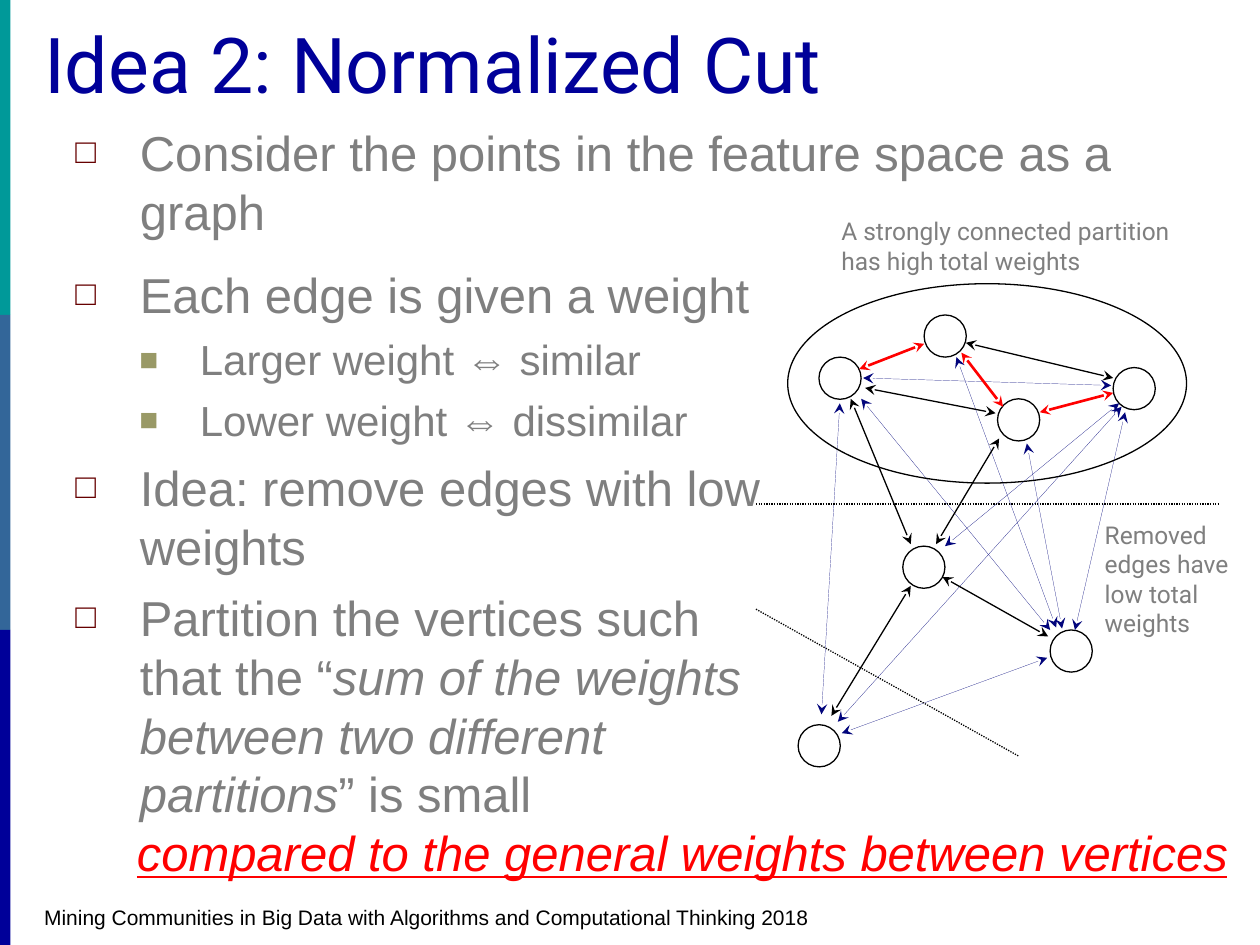
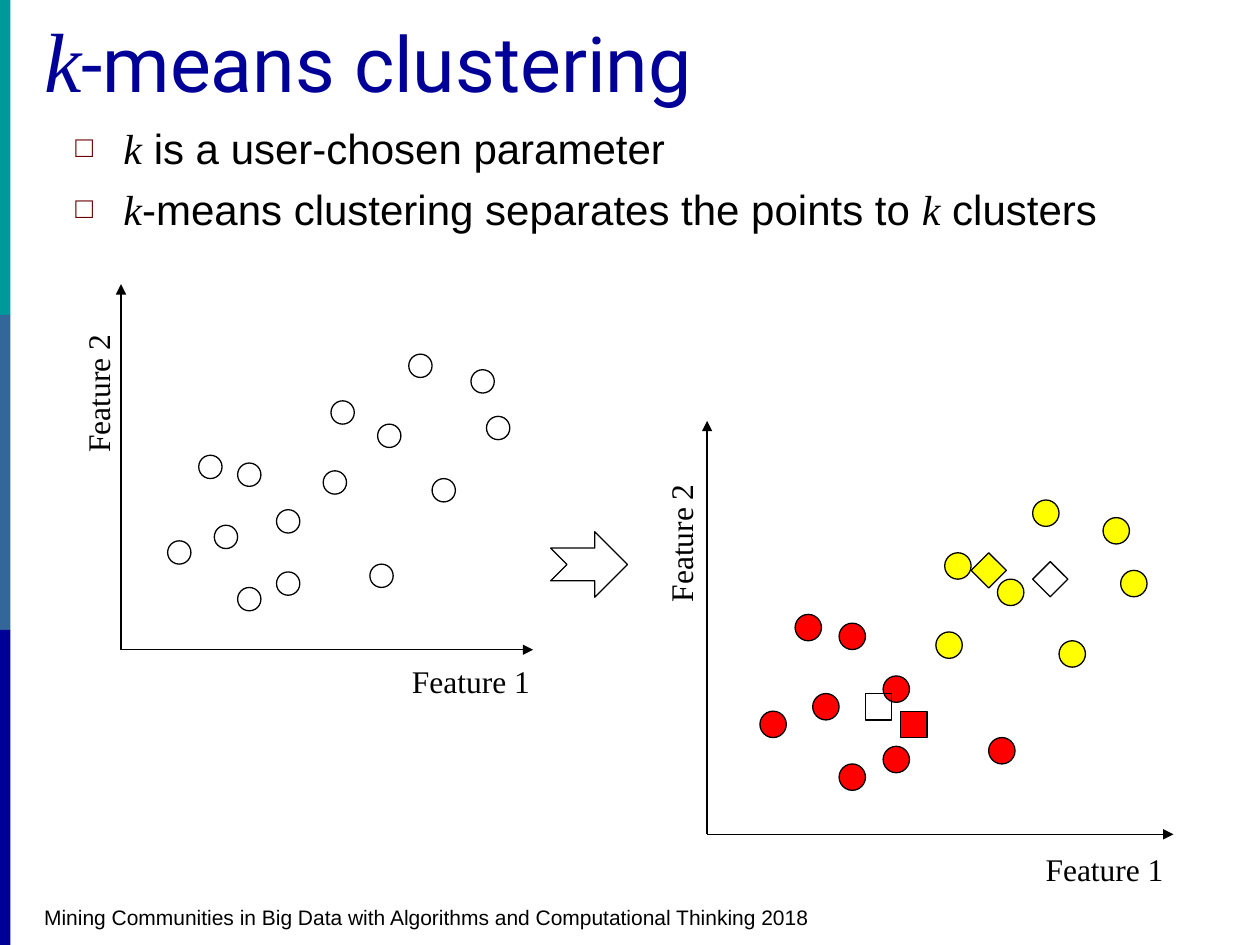
from dataclasses import dataclass
from typing import Any, NamedTuple, Optional

import lxml.etree
import pptx
import pptx.dml.color
import pptx.enum.dml
import pptx.enum.shapes
import pptx.enum.text
import pptx.oxml.ns
import pptx.util

Cm = pptx.util.Cm
Pt = pptx.util.Pt
Preset = pptx.enum.shapes.MSO_SHAPE
qn = pptx.oxml.ns.qn

BLACK, WHITE, RED, YELLOW = "000000", "FFFFFF", "FF0000", "FFFF00"
GRAY, NAVY, WEAK_BLUE = "7F7F7F", "000099", "02057C"
BANDS = ["009999", "336699", NAVY]
SANS, HEADING, SERIF = "Arial", "Roboto", "Times New Roman"
PAGE_WIDTH, PAGE_HEIGHT = 25.4, 19.05
FOOTER = "Mining Communities in Big Data with Algorithms and Computational Thinking 2018"


class Box(NamedTuple):
    left: float
    top: float
    width: float
    height: float


class Bullet(NamedTuple):
    symbol: str
    color: str
    percent: int
    margin: float
    hanging: float


class Span(NamedTuple):
    text: str
    font: Optional[str] = None
    italic: Optional[bool] = None
    size: Optional[float] = None


@dataclass
class Para:
    spans: list[Span]
    size: float
    color: str = GRAY
    font: str = SANS
    bullet: Optional[Bullet] = None
    before: float = 0
    italic: bool = False
    underline: bool = False


class Stroke(NamedTuple):
    color: str = BLACK
    width: float = 0.75
    dotted: bool = False
    head: Optional[str] = None
    tail: Optional[str] = None


class Edge(NamedTuple):
    x1: float
    y1: float
    x2: float
    y2: float
    stroke: Stroke


class Mark(NamedTuple):
    column: int
    row: int
    color: Optional[str]
    preset: Any = Preset.OVAL
    size: int = 3


class Plot(NamedTuple):
    left: float
    top: float
    axis_width: float
    marks: list[Mark]


OUTLINE = Stroke()
STRONG = Stroke(BLACK, 0.75, False, "stealth", "stealth")
STRONGEST = Stroke(RED, 1.5, False, "stealth", "stealth")
WEAK = Stroke(WEAK_BLUE, 0.11, False, "stealth", "stealth")
WEAK_DOTTED = WEAK._replace(dotted=True)
DIVIDER = Stroke(dotted=True)
AXIS = Stroke(tail="triangle")

POINT = Bullet("□", "660000", 70, 1.3, 1.3)
SUBPOINT = Bullet("■", "999966", 75, 2.51, 1.22)
SMALL_POINT = Bullet("□", "660000", 70, 0.97, 0.97)
BODY = Box(1.27, 2.34, 22.86, 15.67)
K = Span("k", SERIF, True)

NODE_SIZE = 0.85
NODES = [(16.51, 7.2), (18.63, 6.35), (20.11, 8.04), (16.09, 14.61),
         (21.17, 12.7), (22.44, 7.41), (18.2, 11.01)]
EDGES = [
    Edge(20.96, 8.31, 22.44, 7.92, STRONGEST),
    Edge(22.44, 7.62, 19.47, 6.91, STRONG),
    Edge(22.4, 7.77, 17.4, 7.62, WEAK),
    Edge(22.56, 8.13, 19.05, 11.01, WEAK),
    Edge(22.61, 8.2, 16.89, 14.55, WEAK),
    Edge(22.68, 8.31, 21.67, 12.7, WEAK),
    Edge(19.28, 7.2, 21.29, 12.65, WEAK),
    Edge(20.7, 8.94, 21.41, 12.67, WEAK),
    Edge(17.36, 8.04, 21.17, 12.7, WEAK),
    Edge(17.15, 8.04, 18.36, 10.97, STRONG),
    Edge(16.93, 8.13, 16.56, 14.4, WEAK_DOTTED),
    Edge(16.76, 14.43, 18.36, 11.81, STRONG),
    Edge(16.97, 14.78, 21.11, 13.26, WEAK),
    Edge(17.44, 7.82, 20.07, 8.33, STRONG),
    Edge(17.32, 7.44, 18.63, 6.93, STRONGEST),
    Edge(19.38, 7.11, 20.22, 8.2, STRONGEST),
    Edge(20.14, 8.84, 18.87, 10.97, STRONG),
    Edge(21.13, 12.83, 19, 11.63, STRONG),
    Edge(15.24, 10.16, 24.55, 10.16, DIVIDER),
    Edge(15.24, 12.28, 20.53, 15.24, DIVIDER),
]

CLUSTERED = [
    Mark(6, 22, RED), Mark(9, 14, RED), Mark(0, 24, RED), Mark(21, 6, YELLOW),
    Mark(14, 20, RED), Mark(9, 30, RED), Mark(14, 28, RED), Mark(4, 13, RED),
    Mark(20, 15, YELLOW), Mark(26, 27, RED), Mark(34, 16, YELLOW),
    Mark(27, 9, YELLOW), Mark(41, 8, YELLOW), Mark(39, 2, YELLOW),
    Mark(31, 0, YELLOW),
]
UNCLUSTERED = [mark._replace(color=WHITE) for mark in CLUSTERED]
CENTERS = [
    Mark(16, 24, RED, Preset.RECTANGLE), Mark(24, 6, YELLOW, Preset.DIAMOND, 4),
    Mark(12, 22, None, Preset.RECTANGLE), Mark(31, 7, None, Preset.DIAMOND, 4),
]
AXIS_LEFT, AXIS_RIGHT, AXIS_TOP, AXIS_BOTTOM = -6, 47, -9, 38
ARROW = [(11.1, 11.05), (11.99, 11.05), (11.99, 10.72), (12.65, 11.38),
         (11.99, 12.04), (11.99, 11.71), (11.1, 11.71), (11.43, 11.38)]


def rgb(color: str) -> pptx.dml.color.RGBColor:
    return pptx.dml.color.RGBColor.from_string(color)


def add_child(parent: Any, tag: str, **attributes: str) -> Any:
    return lxml.etree.SubElement(parent, qn(tag), attributes)


def style_line(line: Any, stroke: Stroke) -> None:
    line.color.rgb = rgb(stroke.color)
    line.width = Pt(stroke.width)
    if stroke.dotted:
        line.dash_style = pptx.enum.dml.MSO_LINE.ROUND_DOT


def style_shape(shape: Any, fill: Optional[str], stroke: Optional[Stroke]) -> None:
    shape.shadow.inherit = False
    if fill:
        shape.fill.solid()
        shape.fill.fore_color.rgb = rgb(fill)
    else:
        shape.fill.background()
    if stroke:
        style_line(shape.line, stroke)
    else:
        shape.line.fill.background()


def draw_shape(page: Any, preset: Any, box: Box, fill: Optional[str] = None,
               stroke: Optional[Stroke] = OUTLINE) -> None:
    shape = page.shapes.add_shape(preset, *map(Cm, box))
    style_shape(shape, fill, stroke)


def draw_edge(page: Any, edge: Edge) -> None:
    connector = page.shapes.add_connector(
        pptx.enum.shapes.MSO_CONNECTOR.STRAIGHT, *map(Cm, edge[:4]))
    style_line(connector.line, edge.stroke)
    properties = connector._element.spPr
    outline = properties.find(qn("a:ln"))
    for tag, kind in (("a:headEnd", edge.stroke.head), ("a:tailEnd", edge.stroke.tail)):
        if kind:
            add_child(outline, tag, type=kind)
    add_child(properties, "a:effectLst")


def set_bullet(paragraph: Any, bullet: Bullet) -> None:
    properties = paragraph._p.get_or_add_pPr()
    properties.set("marL", str(Cm(bullet.margin)))
    properties.set("indent", str(-Cm(bullet.hanging)))
    add_child(add_child(properties, "a:buClr"), "a:srgbClr", val=bullet.color)
    add_child(properties, "a:buSzPct", val=str(bullet.percent * 1000))
    add_child(properties, "a:buFont", typeface=SANS)
    add_child(properties, "a:buChar", char=bullet.symbol)


def fill_paragraph(paragraph: Any, para: Para) -> None:
    if para.bullet:
        set_bullet(paragraph, para.bullet)
        paragraph.level = 1 if para.bullet is SUBPOINT else 0
    paragraph.space_before = Pt(para.before)
    font = paragraph.font
    font.name, font.size = para.font, Pt(para.size)
    font.color.rgb = rgb(para.color)
    font.italic, font.underline = para.italic, para.underline
    for span in para.spans:
        run = paragraph.add_run()
        run.text = span.text
        if span.font:
            run.font.name = span.font
        if span.italic is not None:
            run.font.italic = span.italic
        if span.size:
            run.font.size = Pt(span.size)


def draw_text(page: Any, box: Box, paras: list[Para], bottom: bool = False,
              rotation: float = 0) -> None:
    text_box = page.shapes.add_textbox(*map(Cm, box))
    text_box.rotation = rotation
    frame = text_box.text_frame
    frame.word_wrap = True
    if bottom:
        frame.vertical_anchor = pptx.enum.text.MSO_ANCHOR.BOTTOM
    for index, para in enumerate(paras):
        fill_paragraph(frame.add_paragraph() if index else frame.paragraphs[0], para)


def add_page(deck: Any, title: list[Span]) -> Any:
    page = deck.slides.add_slide(deck.slide_layouts[6])
    band_height = PAGE_HEIGHT / len(BANDS)
    for index, color in enumerate(BANDS):
        draw_shape(page, Preset.RECTANGLE,
                   Box(0, index * band_height, 0.21, band_height), color, None)
    draw_text(page, Box(0.64, 18.11, 18.67, 0.76), [Para([Span(FOOTER)], 12, BLACK)])
    draw_text(page, Box(0.64, 0.43, 24.13, 1.9),
              [Para(title, 44, NAVY, HEADING)], bottom=True)
    return page


def draw_plot(page: Any, plot: Plot) -> None:
    unit = plot.axis_width / (AXIS_RIGHT - AXIS_LEFT)

    def place(column: float, row: float) -> tuple[float, float]:
        return plot.left + column * unit, plot.top + row * unit

    corner = place(AXIS_LEFT, AXIS_BOTTOM)
    for end in (place(AXIS_LEFT, AXIS_TOP), place(AXIS_RIGHT, AXIS_BOTTOM)):
        draw_edge(page, Edge(*corner, *end, AXIS))
    for mark in plot.marks:
        side = mark.size * unit
        draw_shape(page, mark.preset, Box(*place(mark.column, mark.row), side, side),
                   mark.color)
    width, height = 3.35, 1.02
    for name, column, row, rotation in (("Feature 1", 40.5, 42, 0),
                                        ("Feature 2", -9, 3.6, 270)):
        x, y = place(column, row)
        draw_text(page, Box(x - width / 2, y - height / 2, width, height),
                  [Para([Span(name)], 18, BLACK, SERIF)], rotation=rotation)


def build_normalized_cut(deck: Any) -> None:
    page = add_page(deck, [Span("Idea 2: Normalized Cut")])

    def point(*spans: Span) -> Para:
        return Para(list(spans), 28, bullet=POINT, before=7)

    def subpoint(text: str) -> Para:
        return Para([Span(text)], 24, bullet=SUBPOINT, before=6)

    draw_text(page, BODY, [
        point(Span("Consider the points in the feature space as a graph"))])
    for node in NODES:
        draw_shape(page, Preset.OVAL, Box(*node, NODE_SIZE, NODE_SIZE))
    for edge in EDGES:
        draw_edge(page, edge)
    draw_text(page, Box(1.27, 5.21, 14.3, 12.34), [
        point(Span("Each edge is given a weight")),
        subpoint("Larger weight ⇔ similar"),
        subpoint("Lower weight ⇔ dissimilar"),
        point(Span("Idea: remove edges with low weights")),
        point(Span("Partition the vertices such that the “"),
              Span("sum of the weights between two different partitions", italic=True),
              Span("” is small")),
    ])
    draw_shape(page, Preset.OVAL, Box(15.88, 5.72, 8.04, 4.02))
    for text, box in (
            ("A strongly connected partition has high total weights",
             Box(16.71, 4.24, 7.42, 2.03)),
            ("Removed edges have low total weights", Box(22.02, 10.36, 3.38, 2.64))):
        draw_text(page, box, [Para([Span(text)], 14, font=HEADING)])
    draw_text(page, Box(2.51, 16.46, 22.78, 1.47), [
        Para([Span("compared to the general weights between vertices")], 28, RED,
             before=7, italic=True, underline=True)])


def build_k_means(deck: Any) -> None:
    page = add_page(deck, [K._replace(size=48), Span("-means clustering")])
    lines = [[K, Span(" is a user-chosen parameter")],
             [K, Span("-means clustering separates the points to "), K, Span(" clusters")]]
    draw_text(page, BODY, [Para(spans, 24, BLACK, bullet=SMALL_POINT, before=6)
                           for spans in lines])
    draw_plot(page, Plot(3.38, 7.14, 8.31, UNCLUSTERED))
    draw_plot(page, Plot(15.32, 10.08, 9.4, CLUSTERED + CENTERS))
    start, *corners = [(Cm(x), Cm(y)) for x, y in ARROW]
    builder = page.shapes.build_freeform(*start)
    builder.add_line_segments(corners, close=True)
    style_shape(builder.convert_to_shape(), None, OUTLINE)


def main() -> None:
    deck = pptx.Presentation()
    deck.slide_width, deck.slide_height = Cm(PAGE_WIDTH), Cm(PAGE_HEIGHT)
    build_normalized_cut(deck)
    build_k_means(deck)
    deck.save("out.pptx")


if __name__ == "__main__":
    main()
